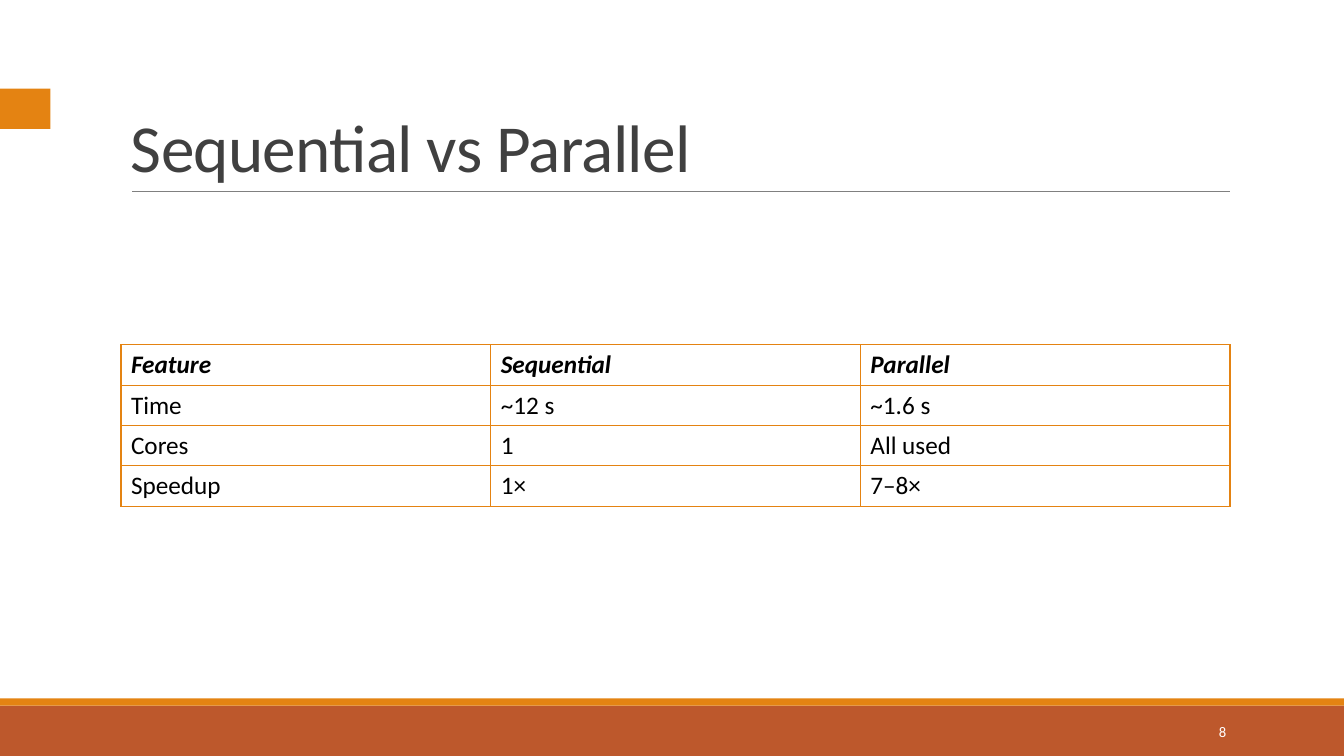
from lxml import etree
from pptx import Presentation
from pptx.dml.color import RGBColor
from pptx.enum.shapes import MSO_CONNECTOR, MSO_SHAPE
from pptx.enum.text import MSO_ANCHOR, PP_ALIGN
from pptx.oxml.ns import qn
from pptx.util import Inches, Pt

RECT = MSO_SHAPE.RECTANGLE
STRAIGHT = MSO_CONNECTOR.STRAIGHT
BOTTOM, MIDDLE = MSO_ANCHOR.BOTTOM, MSO_ANCHOR.MIDDLE
LEFT, RIGHT = PP_ALIGN.LEFT, PP_ALIGN.RIGHT

ORANGE = RGBColor(0xE4, 0x83, 0x12)
RUST = RGBColor(0xBD, 0x58, 0x2C)
GRAY = RGBColor(0x80, 0x80, 0x80)
DARK = RGBColor(0x40, 0x40, 0x40)
BLACK = RGBColor(0, 0, 0)
WHITE = RGBColor(0xFF, 0xFF, 0xFF)

FONT = "Calibri"
WIDTH, HEIGHT = 13.33, 7.5
ROWS = [
    ("Feature", "Sequential", "Parallel"),
    ("Time", "~12 s", "~1.6 s"),
    ("Cores", "1", "All used"),
    ("Speedup", "1×", "7–8×"),
]


def style(para, size, color, strong=False):
    for run in para.runs:
        font = run.font
        font.name = FONT
        font.size = Pt(size)
        font.color.rgb = color
        font.bold = font.italic = strong


def add_bar(slide, left, top, width, height, color):
    bar = slide.shapes.add_shape(
        RECT, Inches(left), Inches(top), Inches(width), Inches(height))
    bar.shadow.inherit = False
    bar.fill.solid()
    bar.fill.fore_color.rgb = color
    bar.line.fill.background()


def add_rule(slide, left, right, top):
    rule = slide.shapes.add_connector(
        STRAIGHT, Inches(left), Inches(top), Inches(right), Inches(top))
    rule.line.color.rgb = GRAY
    rule.line.width = Pt(0.5)
    etree.SubElement(rule._element.spPr, qn("a:effectLst"))


def add_text(slide, text, box, size, color, anchor, align=LEFT):
    shape = slide.shapes.add_textbox(*(Inches(side) for side in box))
    frame = shape.text_frame
    frame.word_wrap = True
    frame.vertical_anchor = anchor
    frame.text = text
    para = frame.paragraphs[0]
    para.alignment = align
    style(para, size, color)
    return para


def add_border(cell):
    props = cell._tc.get_or_add_tcPr()
    for index, side in enumerate(("lnL", "lnR", "lnT", "lnB")):
        line = etree.Element(qn(f"a:{side}"), w=str(Pt(1)))
        fill = etree.SubElement(line, qn("a:solidFill"))
        etree.SubElement(fill, qn("a:srgbClr"), val=str(ORANGE))
        props.insert(index, line)


def add_grid(slide, left, top, width, height):
    frame = slide.shapes.add_table(
        len(ROWS), len(ROWS[0]),
        Inches(left), Inches(top), Inches(width), Inches(height))
    table = frame.table
    table.horz_banding = False
    for row, texts in enumerate(ROWS):
        for col, text in enumerate(texts):
            cell = table.cell(row, col)
            cell.text_frame.text = text
            cell.vertical_anchor = MIDDLE
            cell.fill.background()
            style(cell.text_frame.paragraphs[0], 18, BLACK, row == 0)
            add_border(cell)


def main():
    deck = Presentation()
    deck.slide_width, deck.slide_height = Inches(WIDTH), Inches(HEIGHT)
    slide = deck.slides.add_slide(deck.slide_layouts[6])
    add_bar(slide, 0, 7, WIDTH, 0.5, RUST)
    add_bar(slide, 0, 6.93, WIDTH, 0.07, ORANGE)
    add_rule(slide, 1.31, 12.2, 1.9)
    add_bar(slide, 0, 0.88, 0.5, 0.4, ORANGE)
    title = add_text(slide, "Sequential vs Parallel", (1.2, 0.31, 11, 1.59),
                     48, DARK, BOTTOM)
    title.line_spacing = 0.85
    title.runs[0].font._element.set("spc", "-50")
    add_text(slide, "8", (10.83, 7.06, 1.43, 0.4), 10.5, WHITE, MIDDLE, RIGHT)
    add_grid(slide, 1.2, 3.42, 11, 1.6)
    deck.save("out.pptx")


if __name__ == "__main__":
    main()
